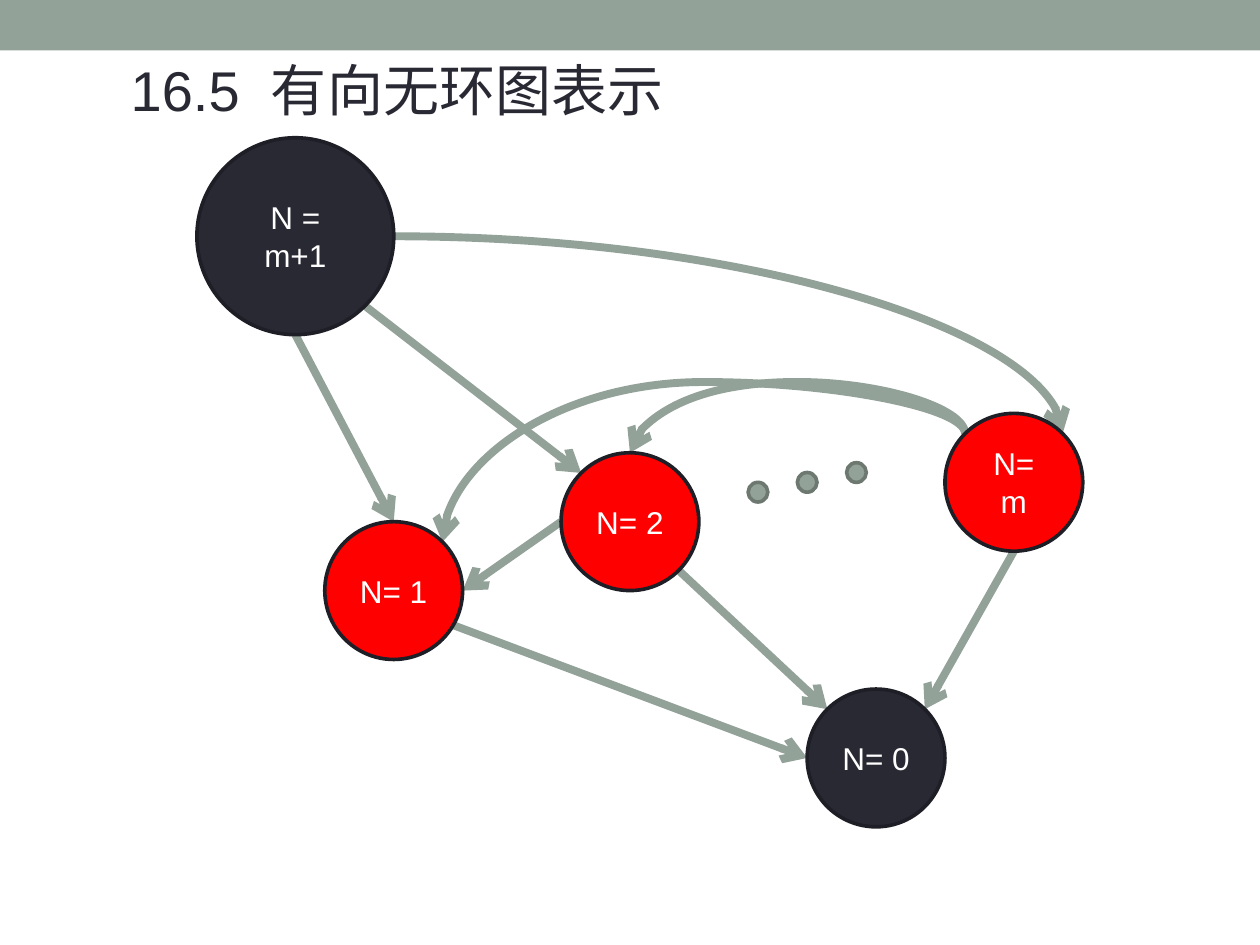
from math import cos, radians, sin

from lxml.etree import SubElement
from pptx import Presentation
from pptx.dml.color import RGBColor
from pptx.enum.shapes import MSO_CONNECTOR, MSO_SHAPE
from pptx.enum.text import MSO_ANCHOR, MSO_AUTO_SIZE, PP_ALIGN
from pptx.oxml.ns import qn
from pptx.util import Inches, Pt

SAGE = RGBColor(0x93, 0xA2, 0x99)
DARK_SAGE = RGBColor(0x6D, 0x78, 0x71)
INK = RGBColor(0x29, 0x29, 0x34)
DARK_INK = RGBColor(0x1E, 0x1E, 0x26)
RED = RGBColor(0xFF, 0x00, 0x00)
WHITE = RGBColor(0xFF, 0xFF, 0xFF)

# The page is a grid of 128 columns by 96 rows of square cells
COLUMNS, ROWS = 128, 96
CELL = Inches(10) / COLUMNS
ARCH_ROW = 38.8

# Name: column, row, diameter, fill, label
NODES = {
    "zero": (82, 70, 14, INK, "N= 0"),
    "one": (33, 53, 14, RED, "N= 1"),
    "two": (57, 46, 14, RED, "N= 2"),
    "m": (96, 42, 14, RED, "N= m"),
    "next": (20, 14, 20, INK, "N = m+1"),
}
# Start node and site, end node and site; sites run counterclockwise
# from the top in steps of 45 degrees
STRAIGHT_EDGES = [
    ("two", 5, "zero", 1),
    ("m", 4, "zero", 7),
    ("one", 5.33, "zero", 2),
    ("two", 2, "one", 6),
    ("next", 4, "one", 0),
    ("next", 5, "two", 1),
]
ARCH_EDGES = [("m", 1, "two", 0), ("m", 1, "one", 7)]
SWEEP_EDGE = ("next", 6, "m", 7)
DOTS = [(76, 49), (81, 48), (86, 47)]


def cells(*counts):
    return [round(count * CELL) for count in counts]


def set_values(target, values):
    for name, value in values.items():
        setattr(target, name, value)


def add_shape(page, kind, box, fill, outline=None):
    shape = page.shapes.add_shape(kind, *cells(*box))
    shape.shadow.inherit = False
    shape.fill.solid()
    shape.fill.fore_color.rgb = fill
    if outline is None:
        shape.line.fill.background()
    else:
        shape.line.color.rgb = outline
        shape.line.width = Pt(2.08)
    return shape


def add_title(page, box):
    title = page.shapes.title
    set_values(title, dict(zip(("left", "top", "width", "height"), cells(*box))))
    frame = title.text_frame
    set_values(frame, {"word_wrap": True, "vertical_anchor": MSO_ANCHOR.TOP,
                       "auto_size": MSO_AUTO_SIZE.SHAPE_TO_FIT_TEXT})
    para = frame.paragraphs[0]
    set_values(para, {"alignment": PP_ALIGN.LEFT, "line_spacing": 1.0})
    for text in ("16.5", " ", "有向无环图表示"):
        span = para.add_run()
        span.text = text
        set_values(span.font, {"size": Pt(32), "name": "Arial"})
        span.font.color.rgb = INK
        if text == " ":  # widen the gap after the section number
            span.font._element.set("spc", "890")


def add_node(page, column, row, diameter, fill, label):
    node = add_shape(page, MSO_SHAPE.OVAL, (column, row, diameter, diameter),
                     fill, DARK_INK)
    frame = node.text_frame
    set_values(frame, {"word_wrap": True, "vertical_anchor": MSO_ANCHOR.MIDDLE})
    para = frame.paragraphs[0]
    para.alignment = PP_ALIGN.CENTER
    span = para.add_run()
    span.text = label
    set_values(span.font, {"size": Pt(18), "name": "Arial"})
    span.font.color.rgb = WHITE
    return node


def site_point(name, site):
    column, row, diameter = NODES[name][:3]
    radius, angle = diameter / 2, radians(45 * site)
    return (column + radius * (1 - sin(angle)), row + radius * (1 - cos(angle)))


def add_edge(page, nodes, edge, kind):
    start, start_site, end, end_site = edge
    points = site_point(start, start_site) + site_point(end, end_site)
    connector = page.shapes.add_connector(kind, *cells(*points))
    connector.line.color.rgb = SAGE
    connector.line.width = Pt(4.5)
    SubElement(connector.line._get_or_add_ln(), qn("a:tailEnd"), type="arrow")
    SubElement(connector._element.spPr, qn("a:effectLst"))
    # Glue the ends to the sites of the ellipses
    joints = connector._element.nvCxnSpPr.cNvCxnSpPr
    for tag, name, site in (("a:stCxn", start, start_site),
                            ("a:endCxn", end, end_site)):
        if isinstance(site, int):
            SubElement(joints, qn(tag), id=str(nodes[name].shape_id), idx=str(site))
    return connector, points


def add_arch(page, nodes, edge):
    """Curve that leaves upwards, crosses at ARCH_ROW and comes down."""
    connector, (x1, y1, x2, y2) = add_edge(page, nodes, edge, MSO_CONNECTOR.CURVE)
    span, drop = x1 - x2, y2 - y1
    box = ((x1 + x2 - drop) / 2, (y1 + y2 - span) / 2, drop, span)
    set_values(connector, dict(zip(("left", "top", "width", "height"), cells(*box))))
    properties = connector._element.spPr
    frame = properties.find(qn("a:xfrm"))
    for name, value in {"rot": "16200000", "flipH": "1", "flipV": "1"}.items():
        frame.set(name, value)
    bend = round((ARCH_ROW - y1) / drop * 100000)
    guides = properties.find(qn("a:prstGeom")).find(qn("a:avLst"))
    SubElement(guides, qn("a:gd"), name="adj1", fmla=f"val {bend}")


def add_sweep(page, nodes, edge):
    """Quarter curve that leaves sideways and arrives from above."""
    connector, _ = add_edge(page, nodes, edge, MSO_CONNECTOR.CURVE)
    connector._element.spPr.find(qn("a:prstGeom")).set("prst", "curvedConnector2")


def add_graph(page):
    nodes = {name: add_node(page, *node) for name, node in NODES.items()}
    for edge in STRAIGHT_EDGES:
        add_edge(page, nodes, edge, MSO_CONNECTOR.STRAIGHT)
    for edge in ARCH_EDGES:
        add_arch(page, nodes, edge)
    add_sweep(page, nodes, SWEEP_EDGE)
    # Dots for the nodes left out
    for column, row in DOTS:
        add_shape(page, MSO_SHAPE.OVAL, (column, row, 2, 2), SAGE, DARK_SAGE)
    # Nodes stand in front of the edges
    for node in nodes.values():
        page.shapes._spTree.append(node._element)


def main():
    deck = Presentation()
    deck.slide_width, deck.slide_height = cells(COLUMNS, ROWS)
    page = deck.slides.add_slide(deck.slide_layouts[5])
    add_shape(page, MSO_SHAPE.RECTANGLE, (0, 0, COLUMNS, 5.12), SAGE)
    add_title(page, (12, 5, 59, 8))
    add_graph(page)
    deck.save("out.pptx")


if __name__ == "__main__":
    main()
